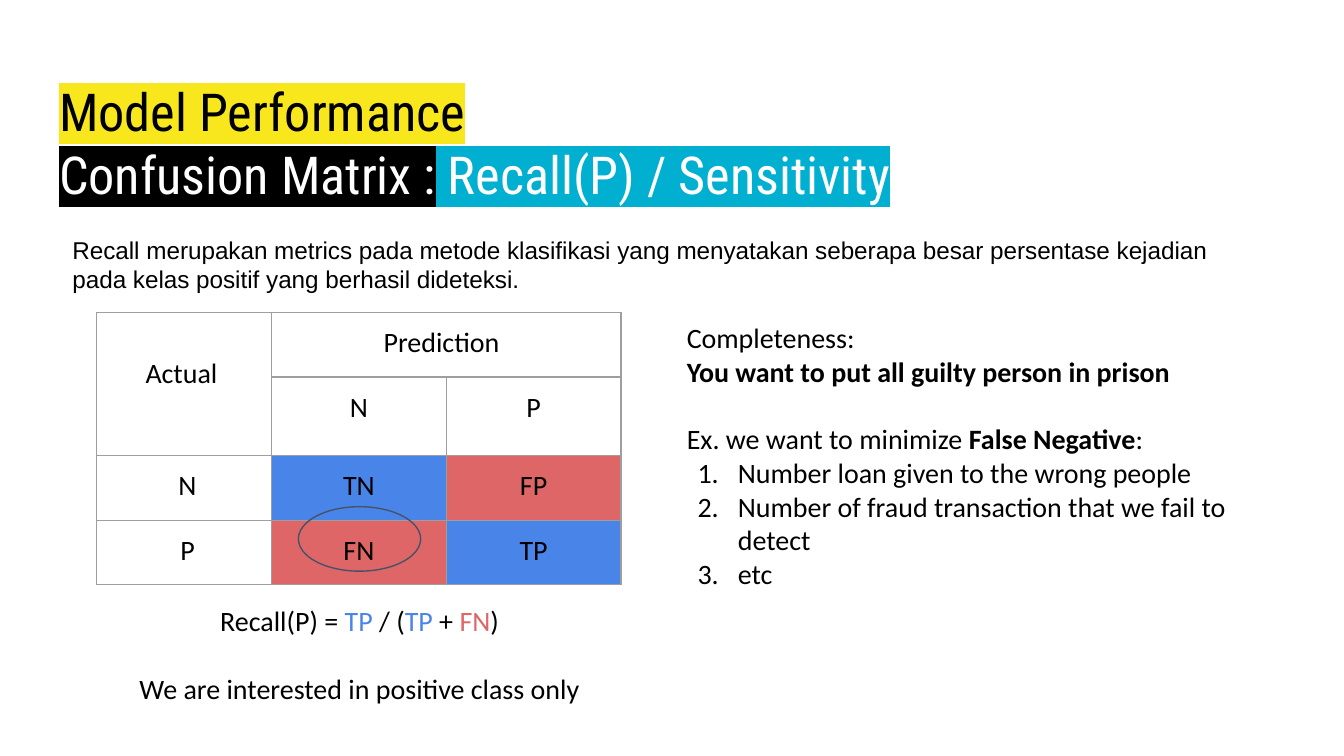
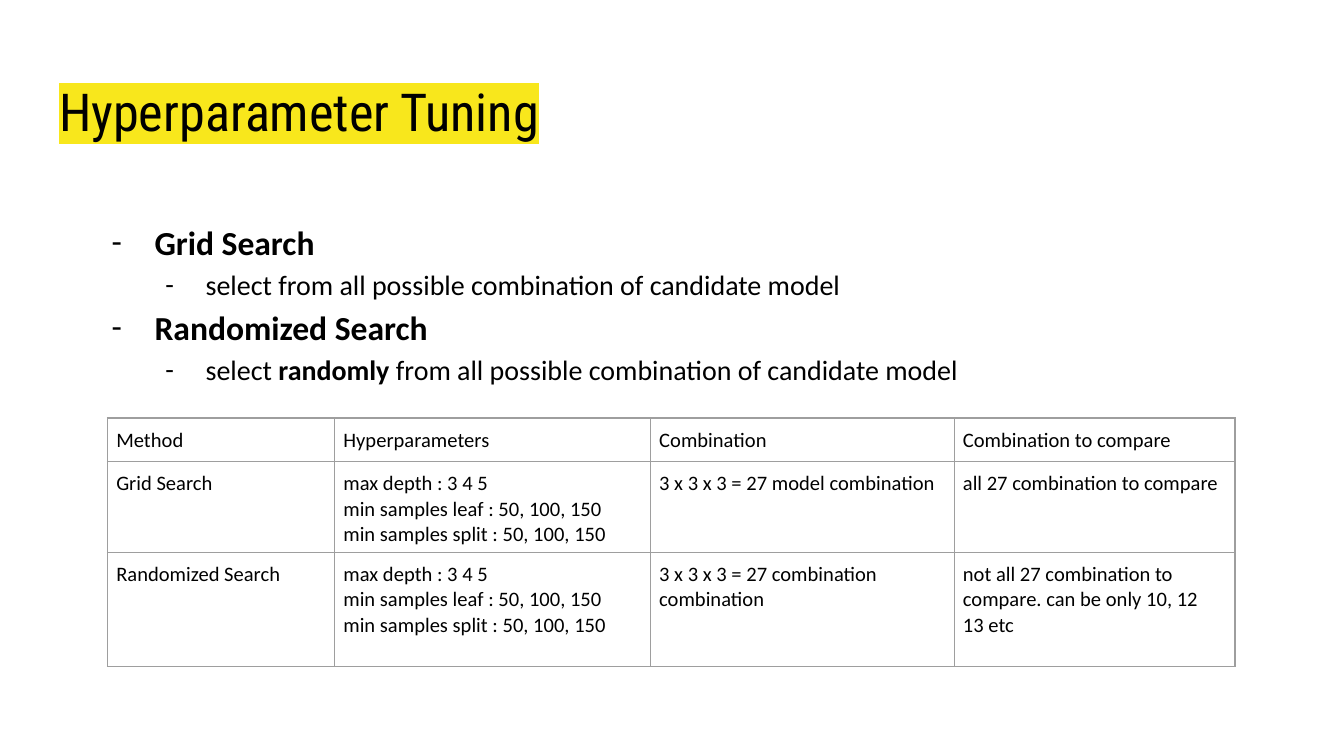
"""Build two slides on recall and hyperparameter tuning."""
import lxml.etree
import pptx
import pptx.dml.color
import pptx.enum.shapes
import pptx.enum.text
import pptx.oxml.ns
import pptx.util

BLACK, WHITE, YELLOW, CYAN = "000000", "FFFFFF", "F8E71C", "01AFD1"
BLUE, RED, GRAY, SLATE = "4985E8", "DF6666", "9E9E9E", "44536A"
TITLE_FONT, TEXT_FONT, INTRO_FONT = "Roboto Condensed", "Calibri", "Arial"
CELL_FILLS = {"TN": BLUE, "TP": BLUE, "FP": RED, "FN": RED}

colour = pptx.dml.color.RGBColor.from_string
qn = pptx.oxml.ns.qn
align = pptx.enum.text.PP_ALIGN

presentation = pptx.Presentation()
presentation.slide_width = pptx.util.Inches(10)
presentation.slide_height = presentation.slide_width * 9 // 16
column_unit = presentation.slide_width / 100


def grid(*counts):
    """Turn counts of square grid units into lengths."""
    return [pptx.util.Emu(round(column_unit * count)) for count in counts]


def add_run(paragraph, text, size, hex_colour=BLACK, bold=False, font=TEXT_FONT, highlight=None):
    """Append one formatted run."""
    run = paragraph.add_run()
    run.text = text
    run.font.size = pptx.util.Pt(size)
    run.font.bold = bold
    run.font.color.rgb = colour(hex_colour)
    run.font.name = font
    if highlight:
        mark = lxml.etree.Element(qn("a:highlight"))
        lxml.etree.SubElement(mark, qn("a:srgbClr"), val=highlight)
        run.font._element.find(qn("a:solidFill")).addnext(mark)


PLAIN = {"indent": 0.1, "hanging": 0, "size": 15, "before": 0, "bullet": None, "level": 0}
NUMBERED = PLAIN | {"indent": 3.9, "hanging": -3, "bullet": "1."}
DASH = PLAIN | {"indent": 3.3, "hanging": -3.2, "size": 18, "before": 3, "bullet": "-"}
SUB_DASH = DASH | {"indent": 7.1, "hanging": -3, "size": 15, "level": 1}
SETTINGS = "max depth : 3 4 5\nmin samples leaf : 50, 100, 150\nmin samples split : 50, 100, 150"

slide_contents = [
    {
        "title": [
            [("Model Performance", BLACK, YELLOW)],
            [("Confusion Matrix :", WHITE, BLACK), (" Recall(P) / Sensitivity", WHITE, CYAN)],
        ],
        "title_height": 13.3,
        "body_place": (51, 23.75, 41.8, 20.3),
        "body_inset": 0.1,
        "body": [
            (PLAIN, [("Completeness:", False)]),
            (PLAIN, [("You want to put all guilty person in prison", True)]),
            (PLAIN | {"before": 18.3},
             [("Ex. we want to minimize ", False), ("False Negative", True), (":", False)]),
            (NUMBERED, [("Number loan given to the wrong people", False)]),
            (NUMBERED, [("Number of fraud transaction that we fail to detect", False)]),
            (NUMBERED, [("etc", False)]),
        ],
        "table_corner": (7.2, 23.25),
        "columns": [13] * 3,
        "rows": [4.8, 5.8, 4.8, 4.8],
        "cells": [
            ["Actual", "Prediction", ""],
            ["", "N", "P"],
            ["N", "TN", "FP"],
            ["P", "FN", "TP"],
        ],
        "merges": [((0, 0), (1, 0)), ((0, 1), (0, 2))],
        "cell_style": (15, align.CENTER),
        "cell_insets": (0, 1, 0),
        "special_insets": {(0, 0): (0, 3.3, 0.4), (0, 1): (0, 1, 0.7),
                           (2, 0): (0.5, 1, 0), (3, 0): (0.5, 1, 0)},
    },
    {
        "title": [[("Hyperparameter Tuning", BLACK, YELLOW)]],
        "title_height": 8.4,
        "body_place": (8.2, 15.9, 65, 13),
        "body_inset": 0.6,
        "body": [
            (DASH | {"before": 0}, [("Grid Search", True)]),
            (SUB_DASH, [("select from all possible combination of candidate model", False)]),
            (DASH, [("Randomized Search", True)]),
            (SUB_DASH, [("select ", False), ("randomly ", True),
                        ("from all possible combination of candidate model", False)]),
        ],
        "table_corner": (8, 31.1),
        "columns": [16.9, 23.5, 22.6, 20.9],
        "rows": [3.25, 6.75, 8.5],
        "cells": [
            ["Method", "Hyperparameters", "Combination", "Combination to compare"],
            ["Grid Search", SETTINGS, "3 x 3 x 3 = 27 model combination",
             "all 27 combination to compare"],
            ["Randomized Search", SETTINGS, "3 x 3 x 3 = 27 combination combination",
             "not all 27 combination to compare. can be only 10, 12 13 etc"],
        ],
        "merges": [],
        "cell_style": (11, align.LEFT),
        "cell_insets": (0.65, 0.7, 1.1),
        "special_insets": {},
    },
]

framed_shapes = []
for content in slide_contents:
    slide = presentation.slides.add_slide(presentation.slide_layouts[1])
    title, body = slide.placeholders
    title.left, title.top, title.width, title.height = grid(3.4, 4.9, 93.2, content["title_height"])
    body.left, body.top, body.width, body.height = grid(*content["body_place"])
    framed_shapes += [(title, 1, 1), (body, 0, content["body_inset"])]

    for index, runs in enumerate(content["title"]):
        frame = title.text_frame
        paragraph = frame.add_paragraph() if index else frame.paragraphs[0]
        paragraph.alignment = align.LEFT
        for text, hex_colour, highlight in runs:
            add_run(paragraph, text, 28, hex_colour, font=TITLE_FONT, highlight=highlight)

    for index, (style, runs) in enumerate(content["body"]):
        frame = body.text_frame
        paragraph = frame.add_paragraph() if index else frame.paragraphs[0]
        paragraph.level = style["level"]
        paragraph.space_before = pptx.util.Pt(style["before"])
        properties = paragraph._p.get_or_add_pPr()
        indent, hanging = grid(style["indent"], style["hanging"])
        properties.set("marL", str(indent))
        properties.set("indent", str(hanging))
        if style["bullet"]:
            bullet_colour = lxml.etree.SubElement(properties, qn("a:buClr"))
            lxml.etree.SubElement(bullet_colour, qn("a:srgbClr"), val=BLACK)
            lxml.etree.SubElement(properties, qn("a:buFont"), typeface=TEXT_FONT)
        if style["bullet"] == "1.":
            lxml.etree.SubElement(properties, qn("a:buAutoNum"), type="arabicPeriod")
        elif style["bullet"]:
            lxml.etree.SubElement(properties, qn("a:buChar"), char=style["bullet"])
        else:
            lxml.etree.SubElement(properties, qn("a:buNone"))
        for text, bold in runs:
            add_run(paragraph, text, style["size"], bold=bold)

    columns, rows = content["columns"], content["rows"]
    table = slide.shapes.add_table(
        len(rows), len(columns), *grid(*content["table_corner"], sum(columns), sum(rows))).table
    table.first_row = table.horz_banding = False
    for column, width in zip(table.columns, grid(*columns)):
        column.width = width
    for row, height in zip(table.rows, grid(*rows)):
        row.height = height
    for first, last in content["merges"]:
        table.cell(*first).merge(table.cell(*last))

    size, alignment = content["cell_style"]
    for row_index, texts in enumerate(content["cells"]):
        for column_index, text in enumerate(texts):
            cell = table.cell(row_index, column_index)
            insets = content["special_insets"].get(
                (row_index, column_index), content["cell_insets"])
            cell.margin_left, cell.margin_top, cell.margin_right = grid(*insets)
            cell.margin_bottom = 0
            if text in CELL_FILLS:
                cell.fill.solid()
                cell.fill.fore_color.rgb = colour(CELL_FILLS[text])
            else:
                cell.fill.background()
            cell_properties = cell._tc.get_or_add_tcPr()
            for position, side in enumerate(("a:lnL", "a:lnR", "a:lnT", "a:lnB")):
                border = lxml.etree.Element(qn(side), w=str(pptx.util.Pt(0.75)))
                border_fill = lxml.etree.SubElement(border, qn("a:solidFill"))
                lxml.etree.SubElement(border_fill, qn("a:srgbClr"), val=GRAY)
                cell_properties.insert(position, border)
            if text:
                for index, line in enumerate(text.split("\n")):
                    frame = cell.text_frame
                    paragraph = frame.add_paragraph() if index else frame.paragraphs[0]
                    paragraph.alignment = alignment
                    add_run(paragraph, line, size)

recall_slide = presentation.slides[0]
formula = recall_slide.shapes.add_textbox(*grid(9.7, 44.8, 34.1, 7.7))
paragraph = formula.text_frame.paragraphs[0]
paragraph.alignment = align.CENTER
for text, hex_colour in (("Recall(P) = ", BLACK), ("TP ", BLUE), ("/ (", BLACK), ("TP ", BLUE),
                         ("+ ", BLACK), ("FN", RED), (")", BLACK)):
    add_run(paragraph, text, 15, hex_colour)
paragraph = formula.text_frame.add_paragraph()
paragraph.alignment = align.CENTER
paragraph.space_before = pptx.util.Pt(18.3)
add_run(paragraph, "We are interested in positive class only", 15)

false_negative_ring = recall_slide.shapes.add_shape(
    pptx.enum.shapes.MSO_SHAPE.OVAL, *grid(22.2, 37.7, 9.1, 4.8))
false_negative_ring.shadow.inherit = False
false_negative_ring.fill.background()
false_negative_ring.line.color.rgb = colour(SLATE)
false_negative_ring.line.width = pptx.util.Pt(0.75)

definition = recall_slide.shapes.add_textbox(*grid(4.4, 16.5, 87.9, 6.4))
add_run(definition.text_frame.paragraphs[0],
        "Recall merupakan metrics pada metode klasifikasi yang menyatakan seberapa besar "
        "persentase kejadian pada kelas positif yang berhasil dideteksi.", 13, font=INTRO_FONT)

framed_shapes += [(formula, 0, 0.1), (definition, 1, 1)]
for shape, side_inset, top_inset in framed_shapes:
    frame = shape.text_frame
    frame.word_wrap = True
    frame.auto_size = pptx.enum.text.MSO_AUTO_SIZE.NONE
    frame.vertical_anchor = pptx.enum.text.MSO_ANCHOR.TOP
    frame.margin_left, frame.margin_right = grid(side_inset, side_inset)
    frame.margin_top, frame.margin_bottom = grid(top_inset, side_inset)

presentation.save("out.pptx")
